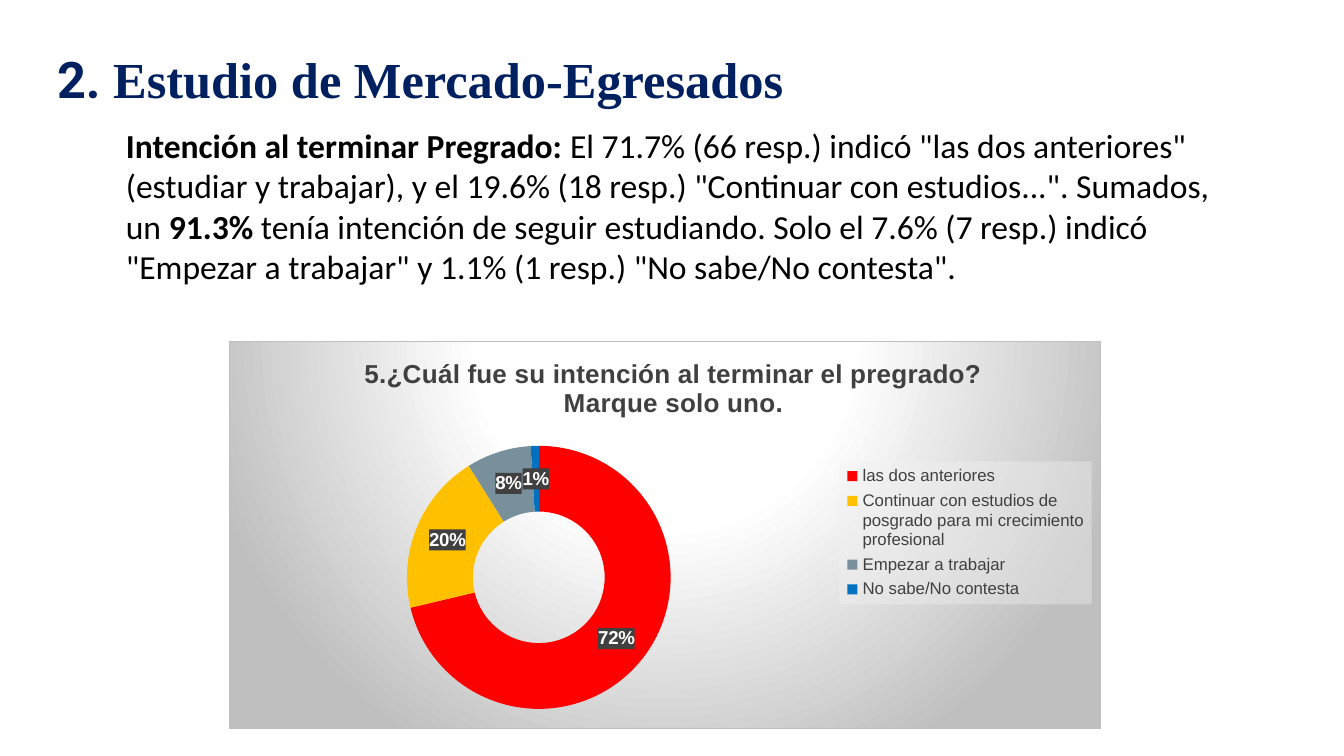
from lxml.etree import fromstring
from pptx import Presentation
from pptx.chart.data import CategoryChartData
from pptx.dml.color import RGBColor
from pptx.enum.chart import XL_CHART_TYPE as ChartType, XL_LEGEND_POSITION as LegendPosition
from pptx.enum.text import MSO_AUTO_SIZE as AutoSize
from pptx.oxml.ns import nsdecls, qn
from pptx.util import Cm, Pt

COLORS = {
    "navy": "002060", "black": "000000", "white": "FFFFFF", "dark": "404040",
    "silver": "BFBFBF", "pale": "F2F2F2",
    "red": "FF0000", "amber": "FFC000", "slate": "78909C", "blue": "0070C0",
}

ANSWERS = [
    ("las dos anteriores", 72, "red"),
    ("Continuar con estudios de posgrado para mi crecimiento profesional", 20, "amber"),
    ("Empezar a trabajar", 8, "slate"),
    ("No sabe/No contesta", 1, "blue"),
]

HARD_SPACE = chr(160)

HEADING = [("2. ", "Roboto", True), ("Estudio de Mercado-Egresados", "Times New Roman", True)]

FINDINGS = [
    ("Intención al terminar Pregrado:", "Calibri", True),
    (HARD_SPACE + 'El 71.7% (66 resp.) indicó "las dos anteriores" (estudiar y trabajar), '
     'y el 19.6% (18 resp.) "Continuar con estudios...". Sumados, un' + HARD_SPACE,
     "Calibri", False),
    ("91.3%", "Calibri", True),
    (HARD_SPACE + 'tenía intención de seguir estudiando. Solo el 7.6% (7 resp.) indicó '
     '"Empezar a trabajar" y 1.1% (1 resp.) "No sabe/No contesta".', "Calibri", False),
]


def rgb(name):
    return RGBColor.from_string(COLORS[name])


def style_font(font, name, size, color, bold=False):
    font.name = name
    font.size = Pt(size)
    font.bold = bold
    font.color.rgb = rgb(color)


def add_text(slide, box, pieces, size, color, margin):
    frame = slide.shapes.add_textbox(*map(Cm, box)).text_frame
    frame.word_wrap = True
    frame.auto_size = AutoSize.SHAPE_TO_FIT_TEXT
    frame.margin_top = frame.margin_bottom = Cm(margin)
    frame.margin_left = frame.margin_right = Cm(0.25)
    for words, family, bold in pieces:
        run = frame.paragraphs[0].add_run()
        run.text = words
        style_font(run.font, family, size, color, bold)


def solid(color, opacity):
    return (f'<a:solidFill><a:srgbClr val="{COLORS[color]}">'
            f'<a:alpha val="{opacity * 1000}"/></a:srgbClr></a:solidFill>')


def surface(content):
    return fromstring(f'<c:spPr {nsdecls("c", "a")}>{content}</c:spPr>')


def halo_surface():
    stops = "".join(
        f'<a:gs pos="{position * 1000}"><a:srgbClr val="{COLORS[color]}"/></a:gs>'
        for position, color in [(0, "white"), (39, "white"), (100, "silver")])
    return surface(
        f'<a:gradFill><a:gsLst>{stops}</a:gsLst><a:path path="circle">'
        '<a:fillToRect l="50000" t="-80000" r="50000" b="180000"/></a:path></a:gradFill>'
        f'<a:ln w="{Pt(0.75)}">{solid("silver", 100)}</a:ln>')


def place(part, inner=False, **fractions):
    old = part.find(qn("c:layout"))
    if old is not None:
        part.remove(old)
    target = '<c:layoutTarget val="inner"/>' if inner else ""
    modes = "".join(f'<c:{key}Mode val="edge"/>' for key in "xy")
    values = "".join(f'<c:{key} val="{value}"/>' for key, value in fractions.items())
    layout = fromstring(f'<c:layout {nsdecls("c")}><c:manualLayout>'
                        f'{target}{modes}{values}</c:manualLayout></c:layout>')
    overlay = part.find(qn("c:overlay"))
    if overlay is None:
        part.insert(0, layout)
    else:
        overlay.addprevious(layout)


def add_title(chart):
    chart.has_title = True
    title = chart.chart_title
    title.include_in_layout = False
    title.text_frame.text = "5.¿Cuál fue su intención al terminar el pregrado?\nMarque solo uno."
    for paragraph in title.text_frame.paragraphs:
        for run in paragraph.runs:
            style_font(run.font, "Arial", 14, "dark", True)
    place(title._element, x=0.15, y=0.03)


def add_legend(chart):
    chart.has_legend = True
    legend = chart.legend
    legend.position = LegendPosition.RIGHT
    legend.include_in_layout = False
    style_font(legend.font, "Arial", 9, "dark")
    place(legend._element, x=0.7, y=0.31, w=0.29, h=0.37)
    legend._element.find(qn("c:txPr")).addprevious(surface(solid("pale", 39)))


def label_slices(series):
    labels = series.data_labels
    labels.show_percentage = False
    labels.show_value = True
    labels.number_format = '0"%"'
    labels.number_format_is_linked = False
    style_font(labels.font, "Arial", 10, "white", True)
    labels._element.find(qn("c:txPr")).addprevious(surface(solid("dark", 90)))


def add_doughnut(slide, box):
    data = CategoryChartData()
    data.categories = [answer for answer, _, _ in ANSWERS]
    data.add_series("Series 1", [share for _, share, _ in ANSWERS])
    chart = slide.shapes.add_chart(ChartType.DOUGHNUT, *map(Cm, box), data).chart
    style_font(chart.font, "Arial", 10, "black")
    chart.plots[0].vary_by_categories = True
    series = chart.plots[0].series[0]
    for index, (_, _, color) in enumerate(ANSWERS):
        fill = series.points[index].format.fill
        fill.solid()
        fill.fore_color.rgb = rgb(color)
    label_slices(series)
    add_title(chart)
    add_legend(chart)
    body = chart._chartSpace.find(qn("c:chart"))
    place(body.find(qn("c:plotArea")), inner=True, x=0.2, y=0.27, w=0.31, h=0.68)
    body.addnext(halo_surface())


def main():
    deck = Presentation()
    deck.slide_width, deck.slide_height = Cm(25.4), Cm(14.29)
    slide = deck.slides.add_slide(deck.slide_layouts[6])
    add_text(slide, (2.13, 2.11, 22.12, 4.19), FINDINGS, 18, "black", 0.25)
    add_text(slide, (0.83, 0.78, 22.25, 1.42), HEADING, 27, "navy", 0.13)
    add_doughnut(slide, (4.33, 6.44, 16.48, 7.34))
    deck.save("out.pptx")


if __name__ == "__main__":
    main()
